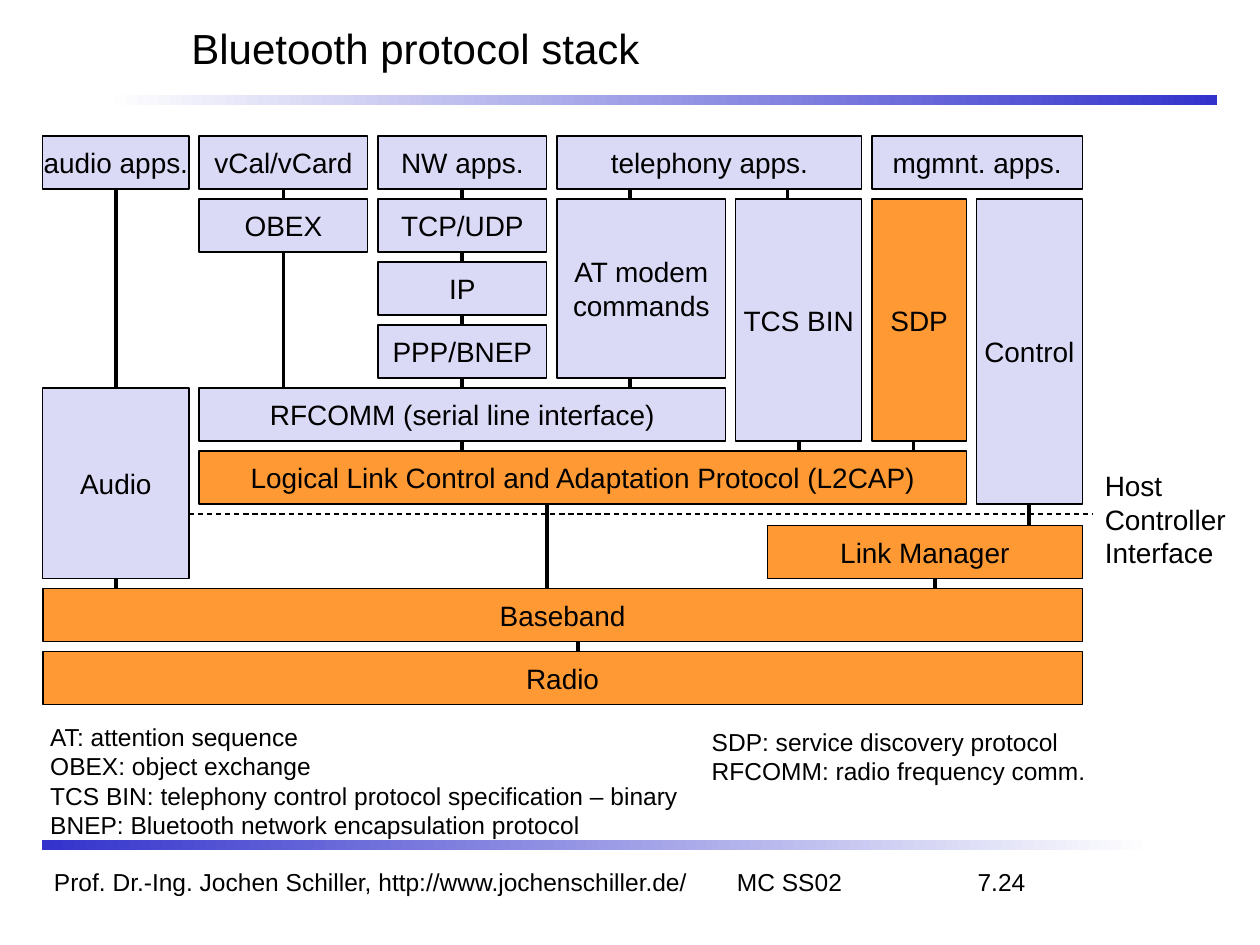
"""Build the Bluetooth protocol stack slide."""
from lxml import etree
from pptx import Presentation, util as u
from pptx.dml.color import RGBColor
from pptx.enum import dml, shapes, text
from pptx.oxml.ns import qn


class Theme:
    font = "Arial"
    ink = RGBColor.from_string("000000")
    paper = RGBColor.from_string("FFFFFF")
    bar = RGBColor.from_string("3333CC")
    host = RGBColor.from_string("DADAF6")
    core = RGBColor.from_string("FF9933")
    title, label, note = 24, 16, 14
    thin, thick = 0.75, 2.25


def write(sp, content, size=Theme.label, align=text.PP_ALIGN.LEFT,
          anchor=text.MSO_ANCHOR.TOP, wrap=False, tabs=()):
    tf = sp.text_frame
    tf.word_wrap = wrap
    tf.vertical_anchor = anchor
    tf.text = content
    for p in tf.paragraphs:
        p.alignment = align
        if tabs:
            tab_list = etree.SubElement(p._p.get_or_add_pPr(), qn("a:tabLst"))
            for pos, side in tabs:
                etree.SubElement(tab_list, qn("a:tab"), pos=str(u.Inches(pos)), algn=side)
        for r in p.runs:
            r.font.name = Theme.font
            r.font.size = u.Pt(size)
            r.font.color.rgb = Theme.ink


def add_line(x1, y1, x2, y2, width):
    ends = [u.Inches(v) for v in (x1, y1, x2, y2)]
    line = s.shapes.add_connector(shapes.MSO_CONNECTOR.STRAIGHT, *ends)
    line.line.color.rgb = Theme.ink
    line.line.width = u.Pt(width)
    etree.SubElement(line._element.spPr, qn("a:effectLst"))
    return line


prs = Presentation()
prs.slide_width, prs.slide_height = u.Inches(10), u.Inches(7.5)
s = prs.slides.add_slide(prs.slide_layouts[6])

for left, top, colors in [(0.83, 0.75, (Theme.paper, Theme.bar)),
                          (0.33, 6.67, (Theme.bar, Theme.paper))]:
    sp = s.shapes.add_shape(shapes.MSO_SHAPE.RECTANGLE, u.Inches(left), u.Inches(top),
                            u.Inches(8.83), u.Inches(0.08))
    sp.shadow.inherit = False
    sp.line.fill.background()
    sp.fill.gradient()
    sp.fill.gradient_angle = 0
    for stop, color, pos in zip(sp.fill.gradient_stops, colors, (0, 1)):
        stop.color.rgb = color
        stop.position = pos

texts = [
    (1.42, 0, 8.42, 0.75, "Bluetooth protocol stack",
     dict(size=Theme.title, anchor=text.MSO_ANCHOR.MIDDLE, wrap=True)),
    (0.33, 6.83, 8.75, 0.33,
     "Prof. Dr.-Ing. Jochen Schiller, http://www.jochenschiller.de/\tMC SS02\t7.24",
     dict(size=Theme.note, wrap=True, tabs=[(5.42, "l"), (7.71, "r")])),
    (8.67, 3.67, 1.2, 0.9, "Host\nController\nInterface", {}),
    (0.3, 5.68, 5.25, 1.04,
     "AT: attention sequence\nOBEX: object exchange\n"
     "TCS BIN: telephony control protocol specification – binary\n"
     "BNEP: Bluetooth network encapsulation protocol", dict(size=Theme.note)),
    (5.55, 5.72, 3.25, 0.57,
     "SDP: service discovery protocol\nRFCOMM: radio frequency comm.",
     dict(size=Theme.note)),
]
for left, top, width, height, content, fmt in texts:
    sp = s.shapes.add_textbox(*[u.Inches(v) for v in (left, top, width, height)])
    write(sp, content, **fmt)

interface = add_line(1, 4.08, 8.67, 4.08, Theme.thin)
interface.line.dash_style = dml.MSO_LINE.DASH

ROW_HEIGHT = 0.42
row_tops = [1.08 + 0.5 * row + (0.09 if row > 5 else 0) for row in range(9)]
boxes = [
    ("audio apps.", 0.34, 1.16, 0, 0, Theme.host),
    ("vCal/vCard", 1.58, 1.34, 0, 0, Theme.host),
    ("NW apps.", 3, 1.34, 0, 0, Theme.host),
    ("telephony apps.", 4.42, 2.42, 0, 0, Theme.host),
    ("mgmnt. apps.", 6.92, 1.67, 0, 0, Theme.host),
    ("OBEX", 1.58, 1.34, 1, 1, Theme.host),
    ("TCP/UDP", 3, 1.34, 1, 1, Theme.host),
    ("IP", 3, 1.34, 2, 2, Theme.host),
    ("PPP/BNEP", 3, 1.34, 3, 3, Theme.host),
    ("AT modem\ncommands", 4.42, 1.34, 1, 3, Theme.host),
    ("TCS BIN", 5.84, 1, 1, 4, Theme.host),
    ("SDP", 6.92, 0.75, 1, 4, Theme.core),
    ("Control", 7.75, 0.84, 1, 5, Theme.host),
    ("Audio", 0.34, 1.16, 4, 6, Theme.host),
    ("RFCOMM (serial line interface)", 1.58, 4.18, 4, 4, Theme.host),
    ("Logical Link Control and Adaptation Protocol (L2CAP)", 1.58, 6.09, 5, 5, Theme.core),
    ("Link Manager", 6.09, 2.5, 6, 6, Theme.core),
    ("Baseband", 0.34, 8.25, 7, 7, Theme.core),
    ("Radio", 0.34, 8.25, 8, 8, Theme.core),
]
layers = {}
for name, left, width, first, last, color in boxes:
    top = row_tops[first]
    height = row_tops[last] + ROW_HEIGHT - top
    sp = s.shapes.add_shape(shapes.MSO_SHAPE.RECTANGLE,
                            *[u.Inches(v) for v in (left, top, width, height)])
    sp.shadow.inherit = False
    sp.fill.solid()
    sp.fill.fore_color.rgb = color
    sp.line.color.rgb = Theme.ink
    sp.line.width = u.Pt(Theme.thin)
    write(sp, name, align=text.PP_ALIGN.CENTER, anchor=text.MSO_ANCHOR.MIDDLE)
    layers[name.split()[0]] = sp, left + width / 2, top, top + height

links = [
    (0.92, "audio", "Audio"), (0.92, "Audio", "Baseband"),
    (2.25, "vCal/vCard", "OBEX"), (2.25, "OBEX", "RFCOMM"),
    (3.67, "NW", "TCP/UDP"), (3.67, "TCP/UDP", "IP"), (3.67, "IP", "PPP/BNEP"),
    (3.67, "PPP/BNEP", "RFCOMM"), (3.67, "RFCOMM", "Logical"),
    (5, "telephony", "AT"), (5, "AT", "RFCOMM"),
    (6.25, "telephony", "TCS"), (6.34, "TCS", "Logical"),
    (7.25, "SDP", "Logical"), (8.17, "Control", "Link"),
    (4.34, "Logical", "Baseband"), (7.42, "Link", "Baseband"),
    (4.59, "Baseband", "Radio"),
]
for x, upper, lower in links:
    upper_sp, upper_mid, _, bottom = layers[upper]
    lower_sp, lower_mid, top, _ = layers[lower]
    link = add_line(x, top, x, bottom, Theme.thick)
    if abs(x - lower_mid) < 0.01:
        link.begin_connect(lower_sp, 0)
    if abs(x - upper_mid) < 0.01:
        link.end_connect(upper_sp, 2)

prs.save("out.pptx")
